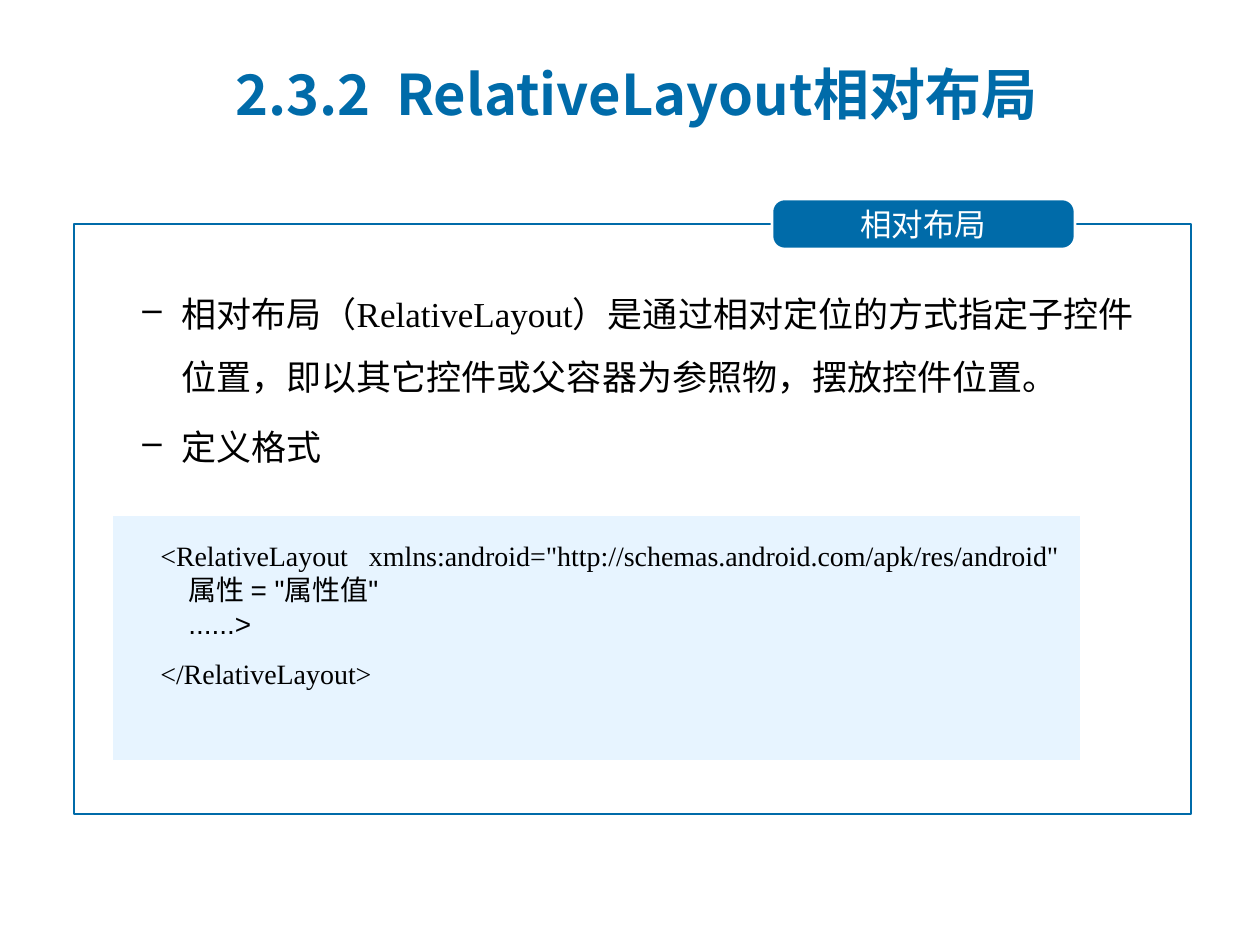
"""Build the slide on RelativeLayout: titled frame, two points and a code panel."""
from lxml import etree
from pptx import Presentation
from pptx.dml.color import RGBColor
from pptx.enum.shapes import MSO_SHAPE as SHAPE
from pptx.enum.text import MSO_ANCHOR as ANCHOR, PP_ALIGN as ALIGN
from pptx.oxml.ns import qn
from pptx.util import Emu, Pt

BLUE = RGBColor(0x00, 0x6B, 0xA9)
PALE = RGBColor(0xE7, 0xF4, 0xFF)
WHITE = RGBColor(0xFF, 0xFF, 0xFF)
BLACK = RGBColor(0x00, 0x00, 0x00)
CJK, SERIF, SANS = "Noto Sans CJK SC", "Times New Roman", "Arial"

TITLE = "2.3.2  RelativeLayout相对布局"
LABEL = "相对布局"
POINTS = [
    ("相对布局（RelativeLayout）是通过相对定位的方式指定子控件位置，"
     "即以其它控件或父容器为参照物，摆放控件位置。", SERIF),
    ("定义格式", SANS),
]
CODE = [
    ('     <RelativeLayout   xmlns:android="http://schemas.android.com/apk/res/android"', SERIF, 1.5),
    ('\t属性 = "属性值"', SANS, 1),
    ("\t......>", SANS, 1),
    ("     </RelativeLayout>", SERIF, 1.5),
]

TITLE_BOX = (223, 55, 868, 77)
FRAME = (74, 224, 1117, 590)
TAB = (772, 199, 303, 50)
POINTS_BOX = (67, 265, 1099, 387)
CODE_BOX = (113, 516, 967, 244)


def px(n):
    return Emu(round(n * 914400 / 126))


def add_box(shapes, kind, box, fill=None, line=None):
    s = shapes.add_shape(kind, *map(px, box))
    s.shadow.inherit = False
    if fill is None:
        s.fill.background()
    else:
        s.fill.solid()
        s.fill.fore_color.rgb = fill
    if line is None:
        s.line.fill.background()
    else:
        s.line.color.rgb = line
        s.line.width = Pt(1.5)
    return s


def add_text(shapes, box):
    tf = shapes.add_textbox(*map(px, box)).text_frame
    tf.word_wrap = True
    return tf


def write(tf, i, text, size, font, color, spacing=1, align=ALIGN.LEFT, bold=False):
    p = tf.paragraphs[0] if i == 0 else tf.add_paragraph()
    p.add_run().text = text
    p.alignment = align
    p.line_spacing = spacing
    f = p.font
    f.size, f.name, f.bold = Pt(size), font, bold
    f.color.rgb = color
    latin = p._p.pPr.find(qn("a:defRPr")).find(qn("a:latin"))
    ea = etree.Element(qn("a:ea"), typeface=CJK)
    latin.addnext(ea)
    return p


def add_dash(p):
    pPr = p._p.get_or_add_pPr()
    pPr.set("marL", str(px(102)))
    pPr.set("indent", str(px(-39)))
    bullet = etree.Element(qn("a:buChar"), char="–")
    pPr.find(qn("a:defRPr")).addprevious(bullet)


def main():
    prs = Presentation()
    prs.slide_width, prs.slide_height = px(1260), px(945)
    shapes = prs.slides.add_slide(prs.slide_layouts[6]).shapes

    add_box(shapes, SHAPE.RECTANGLE, FRAME, line=BLUE)
    s = add_box(shapes, SHAPE.ROUNDED_RECTANGLE, TAB, BLUE, WHITE)
    s.adjustments[0] = 0.25
    s.text_frame.vertical_anchor = ANCHOR.MIDDLE
    write(s.text_frame, 0, LABEL, 18, CJK, WHITE, align=ALIGN.CENTER)

    tf = add_text(shapes, POINTS_BOX)
    for i, (text, font) in enumerate(POINTS):
        p = write(tf, i, text, 20, font, BLACK, 1.5)
        if i:
            p.space_before = Pt(4)
        add_dash(p)

    tf = add_text(shapes, TITLE_BOX)
    tf.vertical_anchor = ANCHOR.MIDDLE
    write(tf, 0, TITLE, 32, CJK, BLUE, bold=True)

    tf = add_box(shapes, SHAPE.RECTANGLE, CODE_BOX, PALE).text_frame
    tf.word_wrap = True
    tf.vertical_anchor = ANCHOR.TOP
    for i, (text, font, spacing) in enumerate(CODE):
        write(tf, i, text, 16, font, BLACK, spacing)

    prs.save("out.pptx")


if __name__ == "__main__":
    main()
